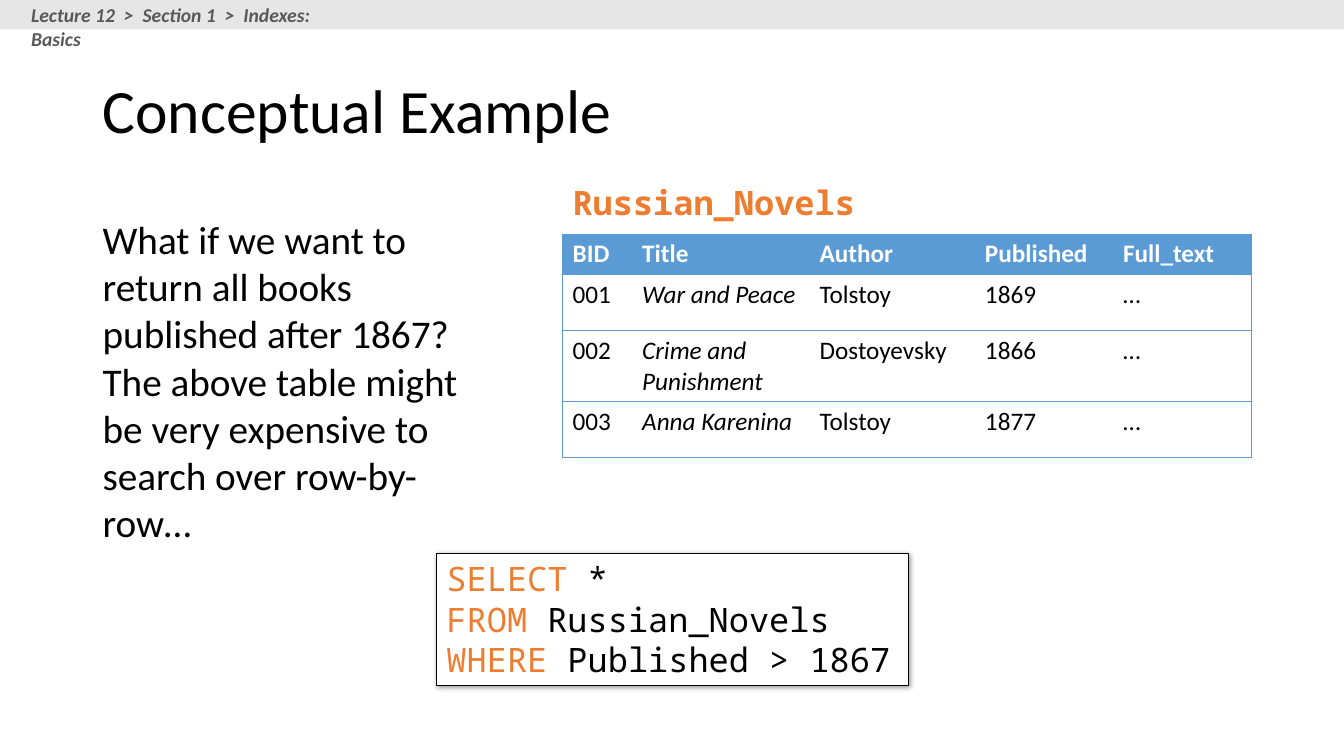
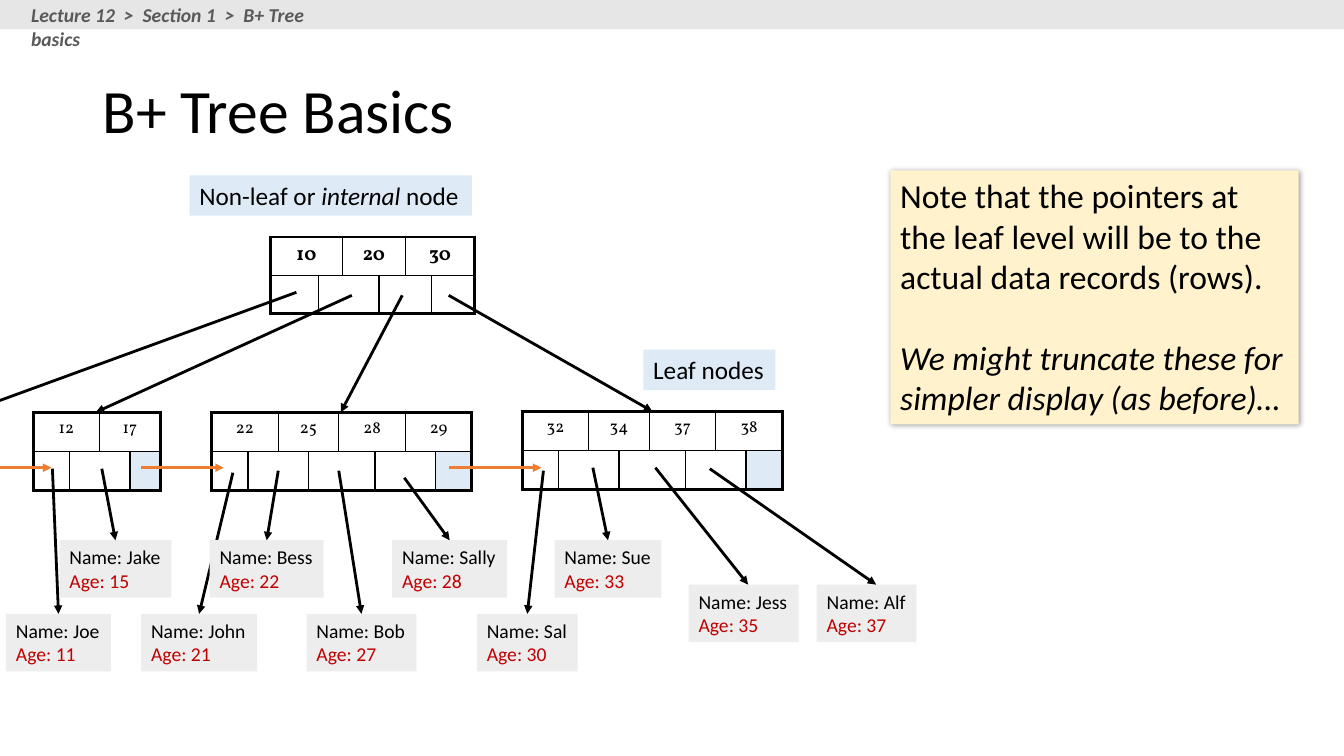
import pptx
import pptx.util
import pptx.dml.color
import pptx.enum.shapes
import pptx.enum.text
import pptx.oxml.ns
import lxml.etree

Inches = pptx.util.Inches
Pt = pptx.util.Pt
qn = pptx.oxml.ns.qn

COLORS = {
    "black": "000000", "white": "FFFFFF", "band": "E7E6E6", "crumb": "595959",
    "orange": "ED7D31", "blue": "5B9BD5", "pale_blue": "DEEBF7",
    "cream": "FFF2CC", "gray": "EDEDED", "red": "C00000",
}
BODY, MONO, SERIF = "Calibri", "Noto Sans Mono", "Vollkorn"
NO_GRID_STYLE = "{2D5ABB26-0587-4C30-8999-92F81FD0307C}"
LEFT = pptx.enum.text.PP_ALIGN.LEFT
CENTER = pptx.enum.text.PP_ALIGN.CENTER
TOP = pptx.enum.text.MSO_ANCHOR.TOP
MIDDLE = pptx.enum.text.MSO_ANCHOR.MIDDLE


def rgb(name):
    return pptx.dml.color.RGBColor.from_string(COLORS[name])


def sub(parent, tag, **attrs):
    return lxml.etree.SubElement(parent, qn(tag), attrs)


def run(text, color="black", bold=False, italic=False):
    return text, color, bold, italic


def write(tf, paragraphs, size, font=BODY, align=LEFT, before=0, spacing=None):
    for i, runs in enumerate(paragraphs):
        p = tf.paragraphs[0] if i == 0 else tf.add_paragraph()
        p.alignment = align
        if before:
            p.space_before = Pt(before)
        if spacing:
            p.line_spacing = spacing
        for text, color, bold, italic in runs:
            r = p.add_run()
            r.text = text
            r.font.name = font
            r.font.size = Pt(size)
            r.font.bold = bold
            r.font.italic = italic
            r.font.color.rgb = rgb(color)


def add_label(s, at, paragraphs, size, font=BODY, wrap=True, anchor=TOP, spacing=None):
    tb = s.shapes.add_textbox(*map(Inches, at))
    tf = tb.text_frame
    tf.word_wrap = wrap
    tf.vertical_anchor = anchor
    write(tf, paragraphs, size, font, spacing=spacing)


def add_shadow(sp):
    effects = sub(sp._element.spPr, "a:effectLst")
    shadow = sub(effects, "a:outerShdw", blurRad=str(Pt(4)), dist=str(Pt(1)),
                 dir="2700000", algn="tl", rotWithShape="0")
    color = sub(shadow, "a:srgbClr", val=COLORS["black"])
    sub(color, "a:alpha", val="40000")


def add_box(s, at, fill, paragraphs=(), size=18, font=BODY, wrap=False,
            line=None, shadow=False, before=0):
    sp = s.shapes.add_shape(pptx.enum.shapes.MSO_SHAPE.RECTANGLE, *map(Inches, at))
    sp.fill.solid()
    sp.fill.fore_color.rgb = rgb(fill)
    if line:
        sp.line.color.rgb = rgb(line)
        sp.line.width = Pt(0.75)
    else:
        sp.line.fill.background()
    if shadow:
        add_shadow(sp)
    else:
        sp.shadow.inherit = False
    tf = sp.text_frame
    tf.word_wrap = wrap
    tf.vertical_anchor = TOP
    write(tf, paragraphs, size, font, before=before)
    return sp


def add_arrow(s, start, end, color="black", target=None):
    c = s.shapes.add_connector(pptx.enum.shapes.MSO_CONNECTOR.STRAIGHT,
                               *map(Inches, start + end))
    if target is not None:
        c.end_connect(target, 0)
    c.line.color.rgb = rgb(color)
    c.line.width = Pt(2)
    sub(c.line._get_or_add_ln(), "a:tailEnd", type="triangle")
    sub(c._element.spPr, "a:effectLst")


def add_grid(s, at, cols, rows):
    frame = s.shapes.add_table(len(rows), len(cols), *map(Inches, at),
                               Inches(sum(cols)), Inches(sum(rows)))
    table = frame.table
    table.first_row = table.horz_banding = False
    table._tbl.tblPr.find(qn("a:tableStyleId")).text = NO_GRID_STYLE
    for col, width in zip(table.columns, cols):
        col.width = Inches(width)
    for row, height in zip(table.rows, rows):
        row.height = Inches(height)
    return table


def style_cell(cell, color, widths, fill=None):
    tcPr = cell._tc.get_or_add_tcPr()
    for side, width in zip("LRTB", widths):
        if width:
            ln = sub(tcPr, f"a:ln{side}", w=str(Pt(width)))
            sub(sub(ln, "a:solidFill"), "a:srgbClr", val=COLORS[color])
    if fill:
        cell.fill.solid()
        cell.fill.fore_color.rgb = rgb(fill)
    else:
        cell.fill.background()


def add_novels(s, at, records):
    cols = [0.69, 1.76, 1.64, 1.37, 1.37]
    table = add_grid(s, at, cols, [0.33] + [0.56] * (len(records) - 1))
    last = len(cols) - 1
    for i, record in enumerate(records):
        header = i == 0
        for j, text in enumerate(record):
            cell = table.cell(i, j)
            widths = (0.5 * (j == 0), 0.5 * (j == last), 0.5, 0.5)
            style_cell(cell, "blue", widths, "blue" if header else None)
            value = run(text, "white" if header else "black", header,
                        j == 1 and not header)
            write(cell.text_frame, [[value]], 18)


def add_node(s, at, keys, cols, row_height, size, bold=False, leaf=True):
    table = add_grid(s, at, cols, [row_height] * 2)
    n = len(cols)
    key_spans = [(j, j + 1) for j in range(0, n, 2)]
    pointer_spans = [(0, 0)] + [(j, j + 1) for j in range(1, n - 1, 2)] + [(n - 1, n - 1)]
    for i, spans in enumerate((key_spans, pointer_spans)):
        for a, b in spans:
            if b > a:
                table.cell(i, a).merge(table.cell(i, b))
            edges = (a == 0, b == n - 1, i == 0, i == 1)
            widths = [2.25 if outer else 1 for outer in edges]
            fill = "pale_blue" if leaf and i == 1 and a == n - 1 else None
            for j in range(a, b + 1):
                cell = table.cell(i, j)
                style_cell(cell, "black", widths, fill)
                if i == 1 or j > a:
                    sub(cell.text_frame.paragraphs[0]._p, "a:endParaRPr", sz=str(size * 100))
    for key, (a, _) in zip(keys, key_spans):
        write(table.cell(0, a).text_frame, [[run(key, bold=bold)]], size, SERIF,
              CENTER, before=0.2 * size)


def add_record(s, at, width, name, age, start, tip=None):
    box = add_box(s, (*at, width, 0.57), "gray",
                  [[run(f"Name: {name}")], [run(f"Age: {age}", "red")]], 14)
    end = (tip or at[0] + width / 2, at[1])
    add_arrow(s, start, end, target=None if tip else box)


def add_slide(prs, title, topic):
    s = prs.slides.add_slide(prs.slide_layouts[6])
    add_box(s, (0, 0, 13.33, 0.29), "band")
    crumb = run(f"Lecture 12  >  Section 1  >  {topic}", "crumb", True, True)
    add_label(s, (0.21, -0.02, 3.4, 0.34), [[crumb]], 14)
    add_label(s, (0.92, 0.4, 11.5, 1.45), [[run(title)]], 44, anchor=MIDDLE, spacing=0.9)
    return s


def build_example(prs):
    s = add_slide(prs, "Conceptual Example", "Indexes: Basics")
    question = ("What if we want to return all books published after 1867? "
                "The above table might be very expensive to search over row-by-row…")
    add_label(s, (0.92, 2.09, 4.16, 2.93), [[run(question)]], 28)
    query = [("SELECT ", "*"), ("FROM ", "Russian_Novels"), ("WHERE ", "Published > 1867")]
    add_box(s, (4.33, 5.49, 4.68, 1.31), "white",
            [[run(word, "orange"), run(rest)] for word, rest in query],
            24, MONO, line="black", shadow=True)
    add_novels(s, (5.58, 2.32), [
        ("BID", "Title", "Author", "Published", "Full_text"),
        ("001", "War and Peace", "Tolstoy", "1869", "…"),
        ("002", "Crime and Punishment", "Dostoyevsky", "1866", "…"),
        ("003", "Anna Karenina", "Tolstoy", "1877", "…"),
    ])
    add_label(s, (5.58, 1.76, 3.05, 0.5), [[run("Russian_Novels", "orange", True)]],
              24, MONO, wrap=False)


def build_tree(prs):
    s = add_slide(prs, "B+ Tree Basics", "B+ Tree basics")
    add_node(s, (2.68, 2.35), ["10", "20", "30"],
             [0.48, 0.21, 0.36, 0.26, 0.26, 0.43], 0.38, 14, bold=True, leaf=False)
    small_leaf = [0.36, 0.3, 0.3, 0.3]
    full_leaf = small_leaf + small_leaf[::-1]
    full_leaf[4:] = [0.36, 0.3, 0.3, 0.36]
    for at, keys, cols in [
        ((0.33, 4.09), ["12", "17"], small_leaf),
        ((2.1, 4.09), ["22", "25", "28", "29"], full_leaf),
        ((5.18, 4.08), ["32", "34", "37", "38"], full_leaf),
    ]:
        add_node(s, at, keys, cols, 0.39, 12)

    add_box(s, (1.88, 1.74, 2.8, 0.4), "pale_blue",
            [[run("Non-leaf or "), run("internal ", italic=True), run("node")]])
    add_box(s, (6.38, 3.47, 1.31, 0.4), "pale_blue", [[run("Leaf nodes")]])

    for start, end in [
        ((2.94, 2.9), (-0.13, 4.02)), ((3.49, 2.93), (0.95, 4.09)),
        ((3.99, 2.93), (3.38, 4.09)), ((4.45, 2.93), (6.47, 4.08)),
    ]:
        add_arrow(s, start, end)
    for x1, x2 in [(0, 0.51), (1.4, 2.22), (4.45, 5.37)]:
        add_arrow(s, (x1, 4.64), (x2, 4.64), "orange")

    upper, middle, lower = 5.36, 5.8, 6.09
    for record in [
        ((0.06, lower), 1.04, "Joe", 11, (0.52, 4.65)),
        ((0.59, upper), 1.11, "Jake", 15, (1.01, 4.65)),
        ((1.4, lower), 1.15, "John", 21, (2.31, 4.69)),
        ((2.08, upper), 1.13, "Bess", 22, (2.76, 4.67)),
        ((3.04, lower), 1.09, "Bob", 27, (3.36, 4.67)),
        ((3.89, upper), 1.14, "Sally", 28, (4.01, 4.74)),
        ((4.73, lower), 1, "Sal", 30, (5.39, 4.67)),
        ((5.5, upper), 1.06, "Sue", 33, (5.88, 4.64)),
        ((6.83, middle), 1.09, "Jess", 35, (6.5, 4.64), 7.42),
        ((8.1, middle), 0.99, "Alf", 37, (7.04, 4.65), 8.69),
    ]:
        add_record(s, *record)

    note = add_box(s, (8.83, 1.69, 4.05, 2.52), "cream", [
        [run("Note that the pointers at the leaf level will be to the actual data records (rows).")],
        [run("We might truncate these for simpler display (as before)…", italic=True)],
    ], 24, wrap=True, shadow=True)
    note.text_frame.paragraphs[1].space_before = Pt(29)


def main():
    prs = pptx.Presentation()
    prs.slide_width = Inches(13.33)
    prs.slide_height = Inches(7.5)
    build_example(prs)
    build_tree(prs)
    prs.save("out.pptx")


if __name__ == "__main__":
    main()
